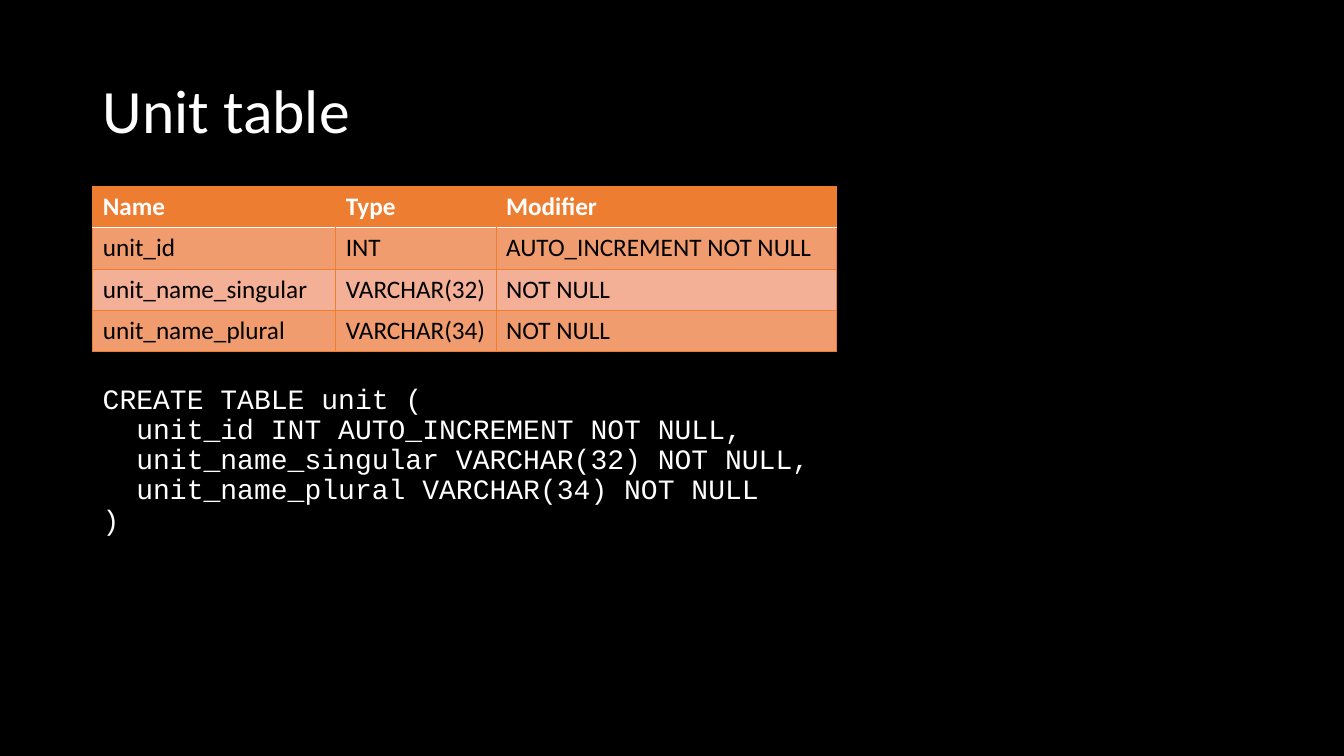
from lxml import etree
from pptx import Presentation
from pptx.dml.color import RGBColor
from pptx.enum.text import MSO_ANCHOR
from pptx.oxml.ns import qn
from pptx.util import Inches, Pt

TOP, MIDDLE = MSO_ANCHOR.TOP, MSO_ANCHOR.MIDDLE
COLORS = {"black": "000000", "white": "FFFFFF", "orange": "ED7D31",
          "band": "F19C6F", "light": "F4B096"}
COLUMNS = [("Name", 2.41), ("Type", 1.59), ("Modifier", 3.38)]
FIELDS = [
    ("unit_id", "INT", "AUTO_INCREMENT NOT NULL"),
    ("unit_name_singular", "VARCHAR(32)", "NOT NULL"),
    ("unit_name_plural", "VARCHAR(34)", "NOT NULL"),
]
SQL = """CREATE TABLE unit (
  unit_id INT AUTO_INCREMENT NOT NULL,
  unit_name_singular VARCHAR(32) NOT NULL,
  unit_name_plural VARCHAR(34) NOT NULL
)"""


def rgb(name):
    return RGBColor.from_string(COLORS[name])


def write(tf, text, size=18, font="Calibri", color="white", bold=False, spacing=1.0):
    for i, line in enumerate(text.split("\n")):
        p = tf.add_paragraph() if i else tf.paragraphs[0]
        p.line_spacing = spacing
        r = p.add_run()
        r.text = line
        r.font.size, r.font.name, r.font.bold = Pt(size), font, bold
        r.font.color.rgb = rgb(color)


def set_borders(cell, borders):
    tcPr = cell._tc.get_or_add_tcPr()
    for i, side in enumerate("LRTB"):
        color, width = borders[side]
        ln = etree.Element(qn(f"a:ln{side}"), w=str(Pt(width)))
        if color:
            fill = etree.SubElement(ln, qn("a:solidFill"))
            etree.SubElement(fill, qn("a:srgbClr"), val=COLORS[color])
        else:
            etree.SubElement(ln, qn("a:noFill"))
        tcPr.insert(i, ln)


class Deck:
    """Builds a dark slide with text boxes and a banded table."""

    def __init__(self):
        self.prs = Presentation()
        self.prs.slide_width, self.prs.slide_height = Inches(13.33), Inches(7.5)
        self.s = self.prs.slides.add_slide(self.prs.slide_layouts[6])
        self.s.background.fill.solid()
        self.s.background.fill.fore_color.rgb = rgb("black")

    def text(self, x, y, w, h, text, anchor=TOP, **style):
        sp = self.s.shapes.add_textbox(Inches(x), Inches(y), Inches(w), Inches(h))
        tf = sp.text_frame
        tf.word_wrap = True
        tf.vertical_anchor = anchor
        write(tf, text, spacing=0.9, **style)

    def table(self, x, y, columns, rows, row_height):
        names, widths = zip(*columns)
        data = [names, *rows]
        table = self.s.shapes.add_table(
            len(data), len(names), Inches(x), Inches(y),
            Inches(sum(widths)), Inches(row_height * len(data))).table
        for column, width in zip(table.columns, widths):
            column.width = Inches(width)
        edge, rule, none = ("orange", 0.5), ("white", 1), (None, 0)
        last = len(names) - 1
        for i, values in enumerate(data):
            table.rows[i].height = Inches(row_height)
            header = i == 0
            fill = "orange" if header else "band" if i % 2 else "light"
            for j, value in enumerate(values):
                cell = table.cell(i, j)
                cell.fill.solid()
                cell.fill.fore_color.rgb = rgb(fill)
                write(cell.text_frame, value, bold=header,
                      color="white" if header else "black")
                set_borders(cell, {
                    "L": none if header and j > 0 else edge,
                    "R": none if header and j < last else edge,
                    "T": rule if i == 1 else edge,
                    "B": rule if header else edge,
                })


def main():
    deck = Deck()
    deck.text(0.92, 0.4, 11.5, 1.45, "Unit table", anchor=MIDDLE, size=44)
    deck.table(0.92, 1.85, COLUMNS, FIELDS, 0.41)
    deck.text(0.92, 3.77, 7.28, 1.78, SQL, size=20, font="Courier New")
    deck.prs.save("out.pptx")


if __name__ == "__main__":
    main()
